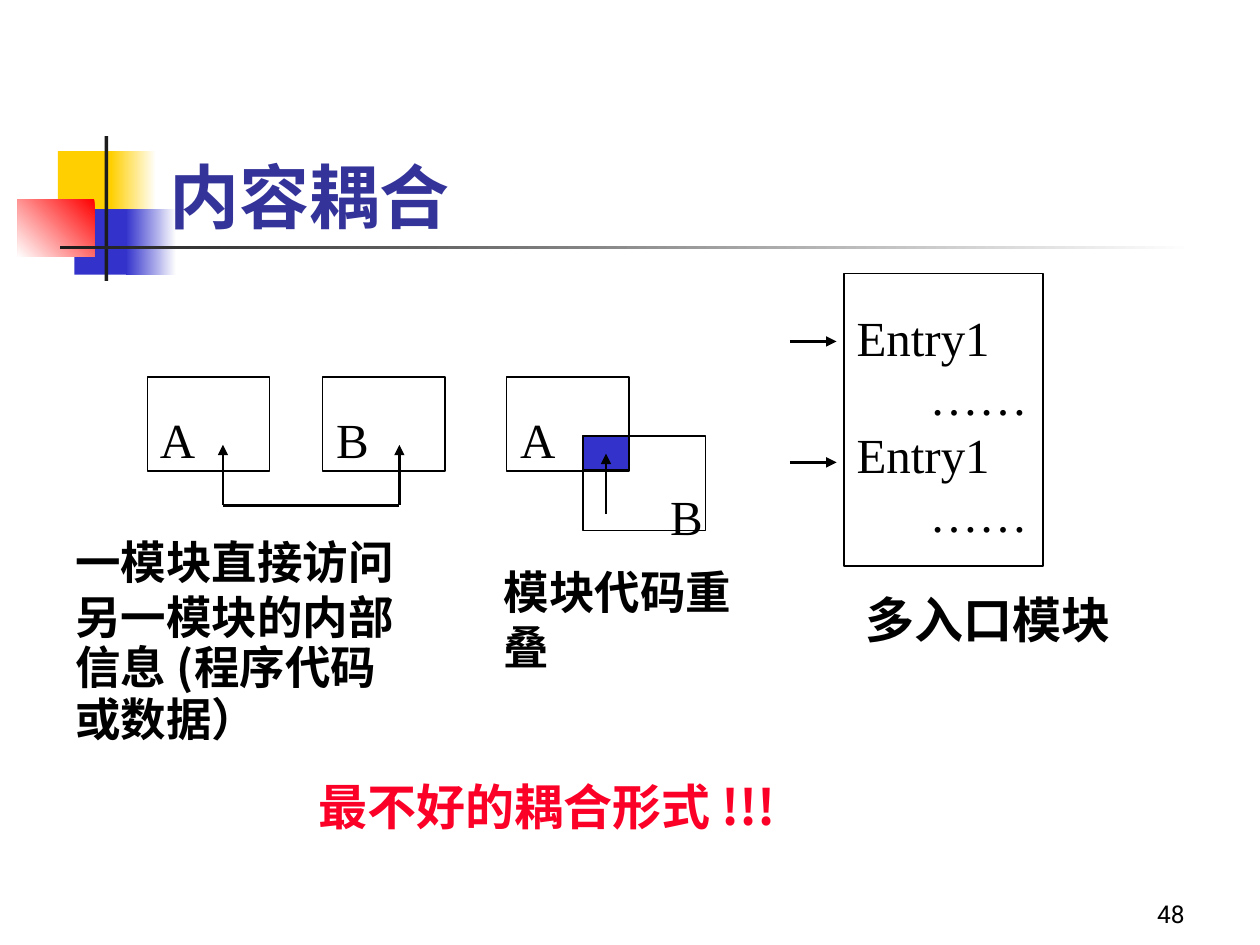
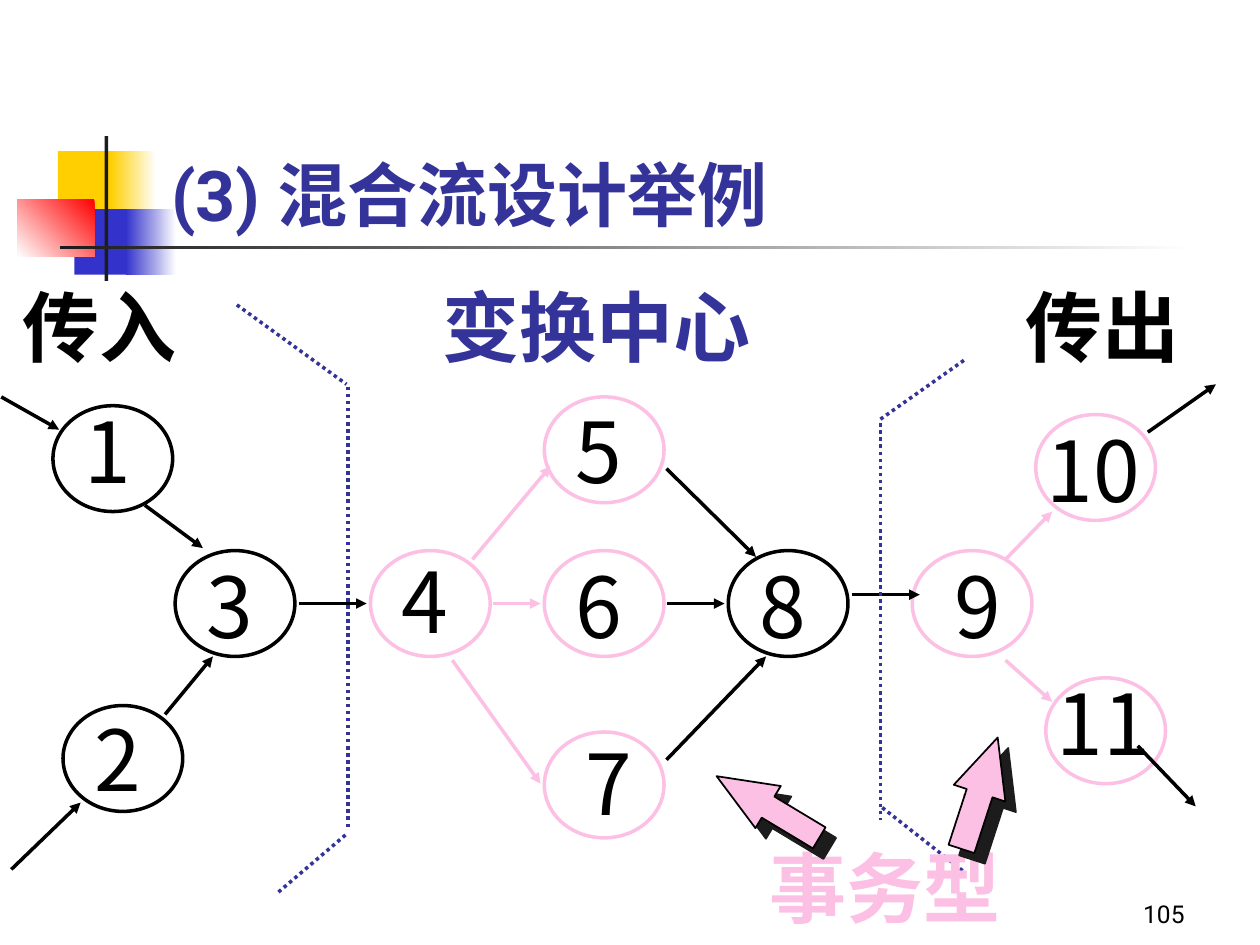
from lxml import etree
from pptx import Presentation
from pptx.dml.color import RGBColor
from pptx.enum.dml import MSO_LINE
from pptx.enum.shapes import MSO_CONNECTOR, MSO_SHAPE
from pptx.enum.text import MSO_ANCHOR, PP_ALIGN
from pptx.oxml.ns import qn
from pptx.util import Inches, Pt

RECT, OVAL, ARROW = MSO_SHAPE.RECTANGLE, MSO_SHAPE.OVAL, MSO_SHAPE.RIGHT_ARROW
STRAIGHT = MSO_CONNECTOR.STRAIGHT
DOTTED = MSO_LINE.ROUND_DOT
TOP, MIDDLE, BOTTOM = MSO_ANCHOR.TOP, MSO_ANCHOR.MIDDLE, MSO_ANCHOR.BOTTOM
LEFT, RIGHT = PP_ALIGN.LEFT, PP_ALIGN.RIGHT

CJK, SANS, SERIF = "Noto Sans CJK SC", "Roboto", "Times New Roman"
BLACK, WHITE, CHARCOAL = "000000", "FFFFFF", "1C1C1C"
NAVY, BLUE, YELLOW = "333399", "3333CC", "FFCF01"
RED, WARNING, PINK = "FF0000", "FC0128", "FDC0E5"


def rgb(value):
    return RGBColor.from_string(value)


def inches(values):
    return [Inches(value) for value in values]


class Deck:
    def __init__(self):
        self.presentation = Presentation()
        self.presentation.slide_width = Inches(10)
        self.presentation.slide_height = Inches(7.5)
        self.slide = None

    def new_slide(self, title, title_box, title_font, anchor, number):
        layout = self.presentation.slide_layouts[6]
        self.slide = self.presentation.slides.add_slide(layout)
        self.shape(RECT, (0.46, 1.2, 0.48, 0.52), YELLOW)
        self.gradient((0.88, 1.2, 0.36, 0.52), WHITE, YELLOW)
        self.shape(RECT, (0.59, 1.66, 0.46, 0.52), BLUE)
        self.gradient((1, 1.66, 0.4, 0.52), WHITE, BLUE)
        self.gradient((0.14, 1.58, 0.61, 0.46), RED, WHITE, 225)
        self.shape(RECT, (0.83, 1.08, 0.03, 1.15), CHARCOAL)
        self.gradient((0.48, 1.95, 9, 0.03), WHITE, CHARCOAL)
        self.text(title_box, [title], 40, title_font, NAVY, True, anchor)
        self.text((7.42, 6.92, 2.08, 0.5), [number], 14, SANS,
                  anchor=BOTTOM, align=RIGHT)

    def shape(self, kind, box, fill=None, line=None, width=1):
        shape = self.slide.shapes.add_shape(kind, *inches(box))
        shape.shadow.inherit = False
        if fill:
            shape.fill.solid()
            shape.fill.fore_color.rgb = rgb(fill)
        else:
            shape.fill.background()
        if line:
            shape.line.color.rgb = rgb(line)
            shape.line.width = Pt(width)
        else:
            shape.line.fill.background()
        return shape

    def gradient(self, box, start, end, angle=180):
        fill = self.shape(RECT, box).fill
        fill.gradient()
        fill.gradient_angle = angle
        for stop, value in zip(fill.gradient_stops, (start, end)):
            stop.color.rgb = rgb(value)

    def text(self, box, lines, size, font=CJK, color=BLACK, bold=False,
             anchor=TOP, align=LEFT, east_asian=CJK):
        frame = self.slide.shapes.add_textbox(*inches(box)).text_frame
        frame.word_wrap = True
        frame.vertical_anchor = anchor
        for index, line in enumerate(lines):
            paragraph = frame.paragraphs[0] if index == 0 else frame.add_paragraph()
            paragraph.alignment = align
            run = paragraph.add_run()
            run.text = line
            run.font.size = Pt(size)
            run.font.name = font
            run.font.bold = bold
            run.font.color.rgb = rgb(color)
            latin = run.font._element.find(qn("a:latin"))
            ea = etree.Element(qn("a:ea"), typeface=east_asian)
            latin.addnext(ea)
        return frame.paragraphs

    def line(self, ends, color=BLACK, width=2.0, arrow=True, dash=None):
        connector = self.slide.shapes.add_connector(STRAIGHT, *inches(ends))
        connector.line.color.rgb = rgb(color)
        connector.line.width = Pt(width)
        if dash:
            connector.line.dash_style = dash
        properties = connector._element.spPr
        if arrow:
            etree.SubElement(properties.find(qn("a:ln")), qn("a:tailEnd"),
                             type="triangle")
        etree.SubElement(properties, qn("a:effectLst"))

    def block_arrow(self, box, rotation, head):
        arrow = self.shape(ARROW, box, PINK, BLACK)
        arrow.adjustments[0] = 0.5
        arrow.adjustments[1] = head
        arrow.rotation = rotation
        effects = arrow._element.spPr.find(qn("a:effectLst"))
        shadow = etree.SubElement(effects, qn("a:outerShdw"), blurRad="0",
                                  dist=str(Pt(8.5)), dir=str(45 * 60000),
                                  algn="ctr", rotWithShape="0")
        etree.SubElement(shadow, qn("a:srgbClr"), val=CHARCOAL)

    def module(self, left, top):
        self.shape(RECT, (left, top, 0.97, 0.75), line=BLACK)

    def letter(self, label, left, top):
        self.text((left, top, 0.48, 0.57), [label], 28, SERIF)

    def node(self, label, left, top, shift, rise, color, text_width=0.52):
        self.shape(OVAL, (left, top, 0.95, 0.84), WHITE, color, 2)
        self.text((left + shift, top - rise, text_width, 0.9), [label], 48)


def content_coupling(deck):
    deck.new_slide("内容耦合", (1.25, 1.17, 6.17, 0.77), CJK, MIDDLE, "48")

    access_note = deck.text(
        (0.5, 4.19, 3.17, 1.79),
        ["一模块直接访问", "另一模块的内部", "信息 (程序代码", "或数据）"],
        26, bold=True)
    for paragraph in access_note[2:]:
        paragraph.line_spacing = 0.95
    verdict = deck.text((2.43, 6.17, 4.1, 0.52), ["最不好的耦合形式 !!!"], 28,
                        color=WARNING, bold=True)
    verdict[0].line_spacing = 0.9

    for left, top in ((1.17, 2.99), (2.56, 2.99), (4.02, 2.99), (4.63, 3.46)):
        deck.module(left, top)
    deck.shape(RECT, (4.63, 3.46, 0.36, 0.27), BLUE, BLACK)
    for label, left, top in (("A", 1.17, 3.2), ("B", 2.57, 3.2),
                             ("A", 4.03, 3.2), ("B", 5.22, 3.81)):
        deck.letter(label, left, top)

    deck.line((1.77, 4.01, 3.17, 4.01), width=1.5, arrow=False)
    for ends in ((1.77, 4.01, 1.77, 3.53), (3.17, 4.01, 3.17, 3.53),
                 (4.81, 4.08, 4.81, 3.6),
                 (6.27, 2.71, 6.64, 2.71), (6.27, 3.67, 6.64, 3.67)):
        deck.line(ends, width=1.5)
    deck.text((3.9, 4.43, 2.07, 0.97), ["模块代码重叠"], 26, bold=True)

    deck.shape(RECT, (6.7, 2.17, 1.58, 2.32), line=BLACK)
    entries = deck.text((6.7, 2.39, 1.57, 1.97), ["Entry1", "……"] * 2, 28,
                        SERIF, east_asian=SERIF)
    for paragraph in entries[1::2]:
        paragraph._p.get_or_add_pPr().set("marL", str(Inches(0.58)))
    deck.text((6.77, 4.63, 2.2, 0.57), ["多入口模块"], 28, bold=True)


def mixed_flow(deck):
    deck.new_slide("(3) 混合流设计举例", (1.26, 0.67, 8.52, 1.25), SANS,
                   BOTTOM, "105")

    middle = 4.37
    nodes = (
        ("1", 0.42, 3.22, 0.15, 0.1, BLACK),
        ("2", 0.5, 5.6, 0.15, 0.03, BLACK),
        ("3", 1.39, middle, 0.15, 0.02, BLACK),
        ("4", 2.94, middle, 0.15, 0.06, PINK),
        ("5", 4.32, 3.15, 0.15, 0.03, PINK),
        ("6", 4.32, middle, 0.15, 0.02, PINK),
        ("7", 4.32, 5.81, 0.23, 0.05, PINK),
        ("8", 5.78, middle, 0.15, 0.02, BLACK),
        ("9", 7.24, middle, 0.24, 0.02, PINK),
        ("10", 8.22, 3.29, -0.01, 0.02, PINK, 1.13),
        ("11", 8.3, 5.38, -0.01, 0.1, PINK, 1.3),
    )
    for node in nodes:
        deck.node(*node)

    transform_flows = (
        (0.01, 3.15, 0.47, 3.41), (1.15, 4.01, 1.61, 4.35),
        (2.37, 4.79, 2.91, 4.79), (0.09, 6.9, 0.64, 6.37),
        (1.31, 5.67, 1.69, 5.21), (5.29, 4.79, 5.75, 4.79),
        (6.76, 4.72, 7.3, 4.72), (9.11, 3.43, 9.65, 3.05),
        (9.03, 5.92, 9.49, 6.4), (5.29, 3.72, 6, 4.42),
        (5.29, 6.03, 6.08, 5.21),
    )
    transaction_flows = (
        (3.75, 4.44, 4.37, 3.7), (3.59, 5.24, 4.29, 6.22),
        (3.91, 4.79, 4.29, 4.79), (7.98, 4.44, 8.35, 4.06),
        (7.98, 5.24, 8.35, 5.57),
    )
    boundaries = (
        (2.76, 3.07, 2.76, 6.58), (1.88, 2.42, 2.75, 3.05),
        (2.21, 7.08, 2.75, 6.62), (6.99, 3.36, 6.99, 6.51),
        (7.65, 2.86, 6.97, 3.34), (7.64, 6.91, 6.99, 6.4),
    )
    for ends in transform_flows:
        deck.line(ends)
    for ends in transaction_flows:
        deck.line(ends, PINK)
    for ends in boundaries:
        deck.line(ends, NAVY, arrow=False, dash=DOTTED)

    for heading, left, top, width, font, color in (
            ("传入", 0.08, 2.17, 1.62, CJK, BLACK),
            ("变换中心", 3.41, 2.17, 2.92, SERIF, NAVY),
            ("传出", 8.04, 2.17, 1.62, CJK, BLACK),
            ("事务型", 6.01, 6.62, 2.43, SERIF, PINK)):
        deck.text((left, top, width, 0.83), [heading], 44, font, color, True)
    deck.block_arrow((7.31, 6.08, 0.93, 0.43), 288, 1.08)
    deck.block_arrow((5.62, 6.21, 0.95, 0.39), 211, 1.22)


def main():
    deck = Deck()
    content_coupling(deck)
    mixed_flow(deck)
    deck.presentation.save("out.pptx")


if __name__ == "__main__":
    main()
